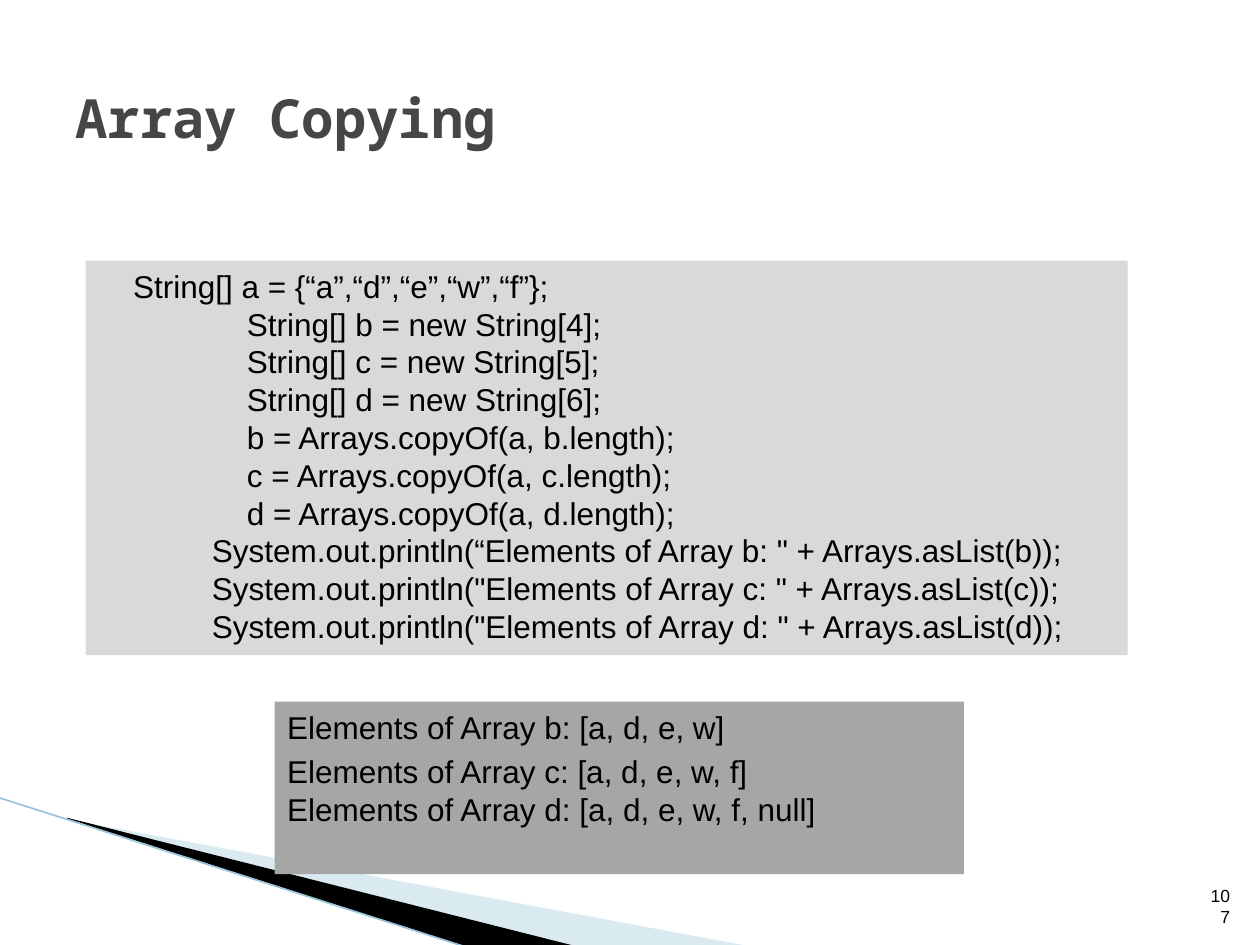
"""Build the Array Copying slide."""
import dataclasses

import lxml.etree
import pptx
import pptx.dml.color
import pptx.enum.shapes
import pptx.enum.text
import pptx.oxml.ns
import pptx.util

Pt = pptx.util.Pt
RGB = pptx.dml.color.RGBColor.from_string
ANCHOR = pptx.enum.text.MSO_ANCHOR
ALIGN = pptx.enum.text.PP_ALIGN
qn = pptx.oxml.ns.qn


@dataclasses.dataclass(frozen=True)
class Theme:
    """Colours, fonts and type sizes of the slide."""
    ink: str = "000000"
    title: str = "464646"
    code: str = "D9D9D9"
    output: str = "A6A6A6"
    swoosh: str = "A0CBDC"
    edge: str = "97C5D8"
    body_font: str = "Arial"
    title_font: str = "Noto Sans Mono"
    body_size: float = 18
    title_size: float = 30.8
    number_size: float = 10


THEME = Theme()
LEADING = Pt(21.6)
GAP = Pt(3.6)
DECLARE, PRINT, ASSIGN = 20, 65, 85
CODE = [
    (DECLARE, 'String[] a = {“a”,“d”,“e”,“w”,“f”};'),
    (ASSIGN, 'String[] b = new String[4];'),
    (ASSIGN, 'String[] c = new String[5];'),
    (ASSIGN, 'String[] d = new String[6];'),
    (ASSIGN, 'b = Arrays.copyOf(a, b.length);'),
    (ASSIGN, 'c = Arrays.copyOf(a, c.length);'),
    (ASSIGN, 'd = Arrays.copyOf(a, d.length);'),
    (PRINT, 'System.out.println(“Elements of Array b: " + Arrays.asList(b));'),
    (PRINT, 'System.out.println("Elements of Array c: " + Arrays.asList(c));'),
    (PRINT, 'System.out.println("Elements of Array d: " + Arrays.asList(d));'),
]
OUTPUT = [
    (0, "Elements of Array b: [a, d, e, w]"),
    (0, "Elements of Array c: [a, d, e, w, f]"),
    (0, "Elements of Array d: [a, d, e, w, f, null]"),
]


def apply(obj, formats):
    """Set each attribute named in a dict of format values."""
    for name, value in formats.items():
        setattr(obj, name, value)


def add_line(p, text, color, font, paragraph):
    """Write one run of text into a paragraph."""
    apply(p, paragraph)
    r = p.add_run()
    r.text = text
    apply(r.font, font)
    r.font.color.rgb = RGB(color)


def add_label(s, box, text, color, font, anchor, align):
    """Add a text box holding one line."""
    tf = s.shapes.add_textbox(*map(Pt, box)).text_frame
    apply(tf, {"word_wrap": True, "vertical_anchor": anchor})
    add_line(tf.paragraphs[0], text, color, font, {"alignment": align})


def add_panel(s, box, fill, lines):
    """Add a filled rectangle with indented lines and return its paragraphs."""
    kind = pptx.enum.shapes.MSO_SHAPE.RECTANGLE
    sp = s.shapes.add_shape(kind, *map(Pt, box))
    paint(sp, fill)
    tf = sp.text_frame
    apply(tf, {"word_wrap": True, "vertical_anchor": ANCHOR.TOP})
    font = {"name": THEME.body_font, "size": Pt(THEME.body_size)}
    style = {"alignment": ALIGN.LEFT, "line_spacing": LEADING}
    for i, (indent, text) in enumerate(lines):
        p = tf.add_paragraph() if i else tf.paragraphs[0]
        add_line(p, text, THEME.ink, font, style)
        p._p.get_or_add_pPr().set("marL", str(Pt(indent)))
    return tf.paragraphs


def paint(sp, color, alpha=100):
    """Give a shape a flat fill without outline or shadow."""
    sp.shadow.inherit = False
    sp.fill.solid()
    sp.fill.fore_color.rgb = RGB(color)
    sp.line.fill.background()
    if alpha < 100:
        clr = sp.fill._xPr.find(".//" + qn("a:srgbClr"))
        lxml.etree.SubElement(clr, qn("a:alpha"), val=str(alpha * 1000))


def add_wedge(s, points, color, alpha=100):
    """Add a closed polygon."""
    start, *rest = [(Pt(x), Pt(y)) for x, y in points]
    fb = s.shapes.build_freeform(*start)
    fb.add_line_segments(rest, close=True)
    paint(fb.convert_to_shape(), color, alpha)


def add_edge(s, ends, color, width):
    """Add a straight line without shadow."""
    kind = pptx.enum.shapes.MSO_CONNECTOR.STRAIGHT
    sp = s.shapes.add_connector(kind, *map(Pt, ends))
    sp.line.color.rgb = RGB(color)
    sp.line.width = Pt(width)
    lxml.etree.SubElement(sp._element.spPr, qn("a:effectLst"))


def main():
    """Build and save the slide."""
    prs = pptx.Presentation()
    apply(prs, {"slide_width": Pt(720), "slide_height": Pt(540)})
    s = prs.slides.add_slide(prs.slide_layouts[6])
    add_wedge(s, [(39.6, 468.4), (428.4, 540.7), (328.3, 540.7), (39.6, 468)],
              THEME.swoosh, 40)
    add_wedge(s, [(38.2, 467.3), (329, 540.7), (267.8, 541.4), (38.9, 468)],
              THEME.ink)
    add_edge(s, (-0.7, 455.8, 267.1, 541.4), THEME.edge, 0.95)
    title = {"name": THEME.title_font, "size": Pt(THEME.title_size), "bold": True}
    add_label(s, (36, 21.6, 648, 90), "Array Copying", THEME.title, title,
              ANCHOR.MIDDLE, ALIGN.LEFT)
    number = {"name": THEME.body_font, "size": Pt(THEME.number_size)}
    add_label(s, (681.1, 504.7, 28.8, 28.8), "107", THEME.ink, number,
              ANCHOR.BOTTOM, ALIGN.RIGHT)
    add_panel(s, (49, 149, 595.4, 225.4), THEME.code, CODE)
    result = add_panel(s, (157, 401, 393.8, 98.6), THEME.output, OUTPUT)
    result[1].space_before = GAP
    prs.save("out.pptx")


if __name__ == "__main__":
    main()
